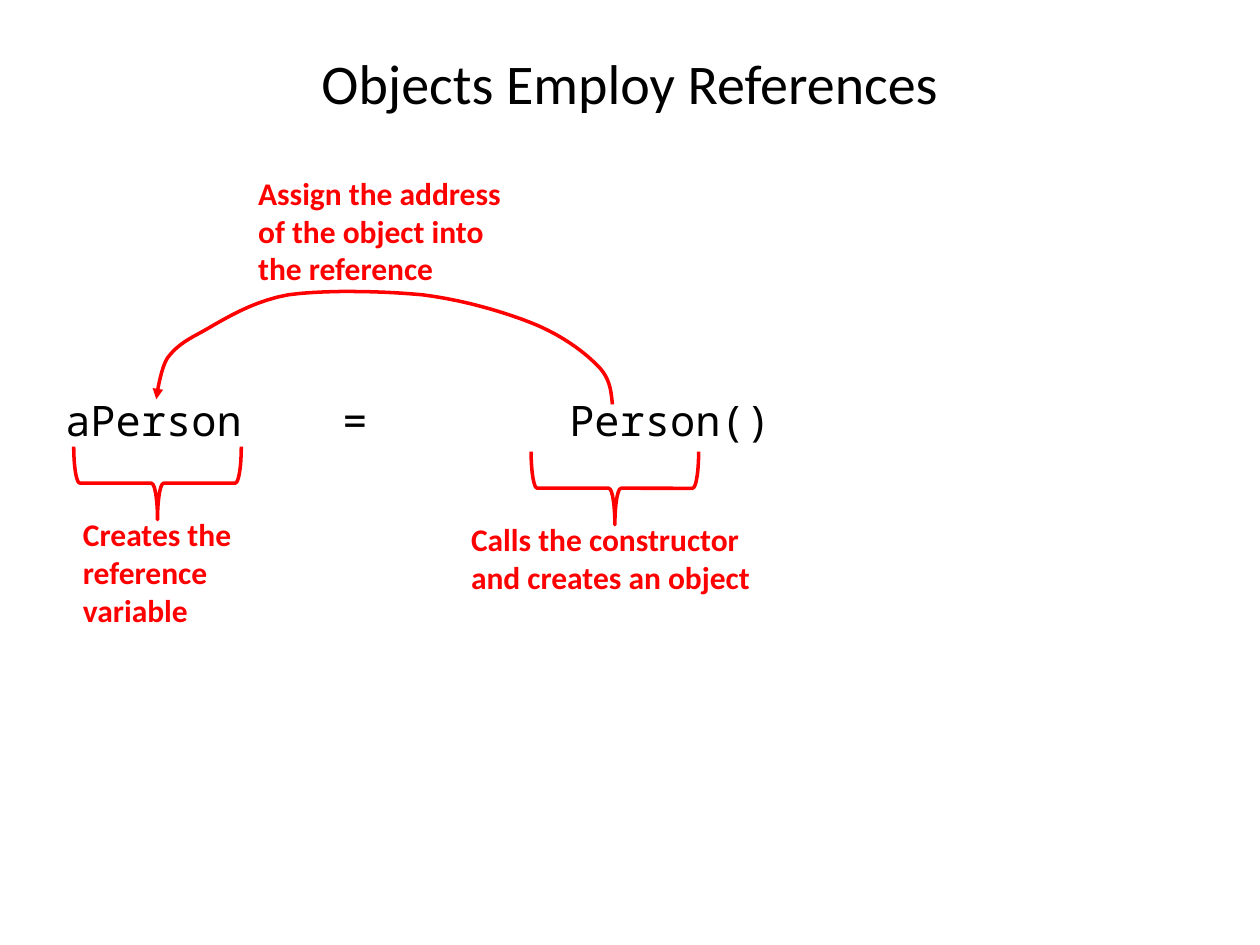
from lxml.etree import SubElement
from pptx import Presentation
from pptx.dml.color import RGBColor
from pptx.enum.shapes import MSO_SHAPE as Shape
from pptx.enum.text import MSO_ANCHOR as Anchor, PP_ALIGN as Align
from pptx.oxml.ns import qn
from pptx.util import Inches, Pt

COLORS = {"ink": "000000", "note": "FF0000"}

deck = Presentation()
deck.slide_width, deck.slide_height = Inches(10), Inches(7.5)
page = deck.slides.add_slide(deck.slide_layouts[6])

# Grid of 100 columns and 75 rows
COL, ROW = deck.slide_width // 100, deck.slide_height // 75


def add_text(words, left, top, width, height, size, color="ink",
             face="Calibri", bold=False):
    box = page.shapes.add_textbox(
        round(left * COL), round(top * ROW), round(width * COL), round(height * ROW))
    box.text_frame.word_wrap = True
    para = box.text_frame.paragraphs[0]
    span = para.add_run()
    span.text = words
    span.font.name, span.font.size, span.font.bold = face, Pt(size), bold
    span.font.color.rgb = RGBColor.from_string(COLORS[color])
    return box, para


def outline(shape):
    shape.shadow.inherit = False
    shape.fill.background()
    shape.line.color.rgb = RGBColor.from_string(COLORS["note"])
    shape.line.width = Pt(2)


# Title
box, para = add_text("Objects Employ References", 5, 3, 90, 7, 32)
box.text_frame.vertical_anchor = Anchor.MIDDLE
para.alignment = Align.CENTER

# Code line, with tab stops at character cells 11 and 20
box, para = add_text("aPerson\t=\tPerson()", 4.2, 30.8, 90, 5, 24,
                     face="Noto Sans Mono")
tabs = SubElement(para._p.get_or_add_pPr(), qn("a:tabLst"))
for cell in (11, 20):
    SubElement(tabs, qn("a:tab"), pos=str(cell * 2 * COL), algn="l")

# Notes: words, left, top, width, height
notes = [
    ("Calls the constructor and creates an object", 36.4, 40.8, 25, 9.2),
    ("Creates the reference variable", 5.6, 40.4, 19.2, 9.2),
    ("Assign the address of the object into the reference", 19.5, 13.3, 23.8, 11.5),
]
for note in notes:
    add_text(*note, 18, "note", bold=True)

# Braces under the two halves of the statement
for left, top in ((45.9, 32.1), (9.6, 31.7)):
    brace = page.shapes.add_shape(
        Shape.RIGHT_BRACE, round(left * COL), round(top * ROW),
        round(5.8 * COL), round(13.3 * ROW))
    brace.rotation = 90
    outline(brace)

# Assignment arrow: Bezier curves, each with two controls and an end
start = (48.6, 32.1)
curves = [
    ((48.5, 31), (48.4, 29.9), (47.3, 28.9)),
    ((46.2, 27.8), (44.4, 26.5), (42.1, 25.6)),
    ((39.8, 24.7), (36.7, 23.8), (33.5, 23.4)),
    ((30.3, 23.1), (25.8, 23), (22.9, 23.4)),
    ((20, 23.9), (17.7, 25.4), (16.1, 26.3)),
    ((14.6, 27.1), (14, 27.5), (13.3, 28.4)),
    ((12.7, 29.3), (12.4, 31.7), (12.4, 31.7)),
]
STEPS = 10
points = [start]
for curve in curves:
    knots = (points[-1], *curve)
    for step in range(1, STEPS + 1):
        t = step / STEPS
        weights = ((1 - t) ** 3, 3 * t * (1 - t) ** 2, 3 * t * t * (1 - t), t ** 3)
        points.append(tuple(
            sum(w * knot[axis] for w, knot in zip(weights, knots)) for axis in (0, 1)))
points = [(round(x * COL), round(y * ROW)) for x, y in points]
builder = page.shapes.build_freeform(*points[0])
builder.add_line_segments(points[1:], close=False)
arrow = builder.convert_to_shape()
outline(arrow)
SubElement(arrow.line._get_or_add_ln(), qn("a:tailEnd"), type="triangle")

deck.save("out.pptx")
